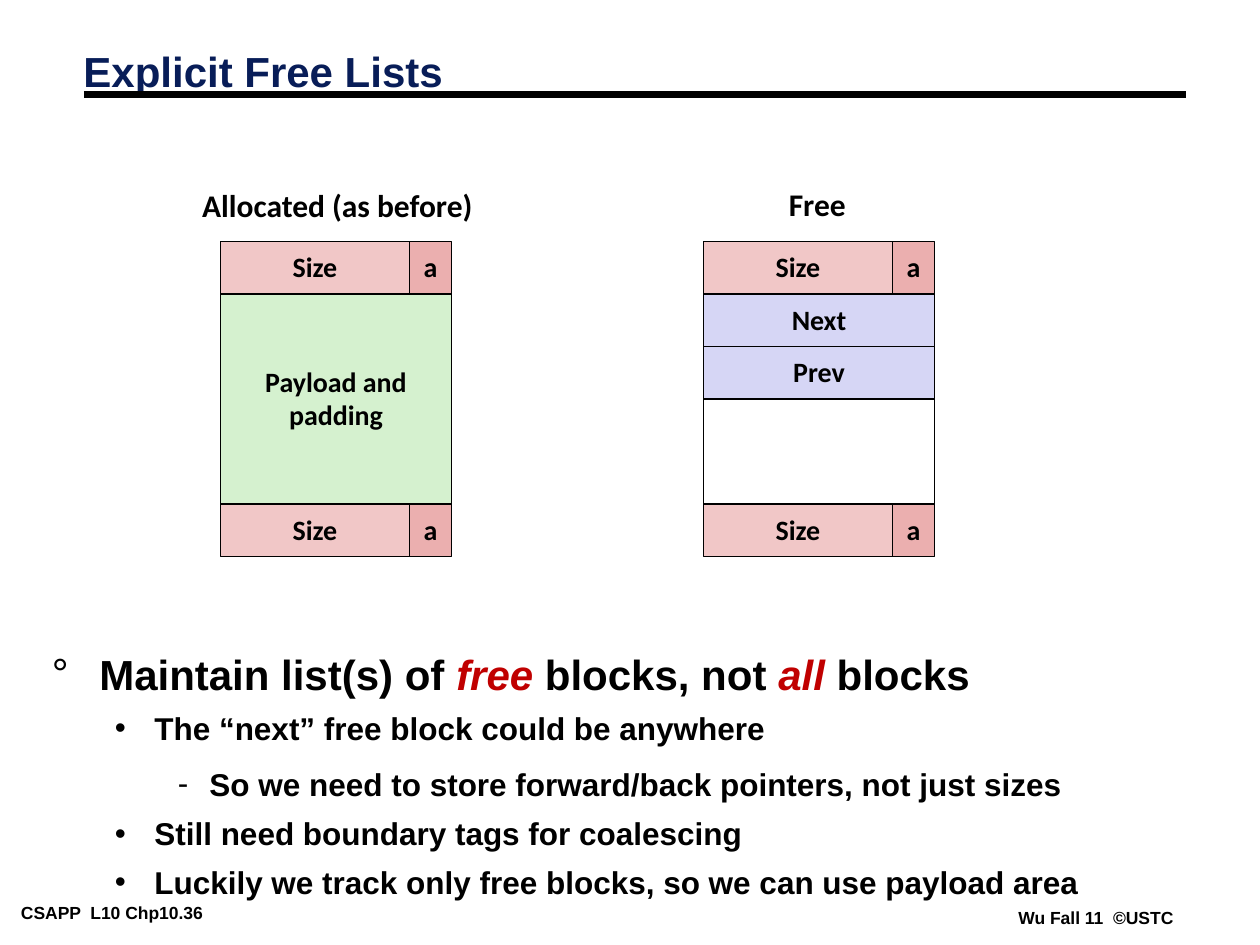
"""Builds a slide that compares allocated and free blocks in explicit free lists."""
from pptx import Presentation
from pptx import util as u
from pptx.dml import color
from pptx.enum import shapes, text
from pptx.oxml import ns, xmlchemy

PX = 9525
COLORS = {
    "black": "000000", "white": "FFFFFF", "navy": "081D58", "red": "C00000",
    "size": "F1C7C7", "flag": "EBAFAF", "payload": "D5F1CF", "pointer": "D6D6F5",
}
ROW, SIZE_WIDTH, FLAG_WIDTH = 40, 144, 32
BLOCK_TOP = 184
BULLETS = {0: ("°", 36, 36), 1: ("•", 78, 30), 2: ("-", 120, 24)}


def rgb(name):
    return color.RGBColor.from_string(COLORS[name])


def write(paragraph, words, font="Arial", size=18, ink="black", italic=False,
          align=text.PP_ALIGN.LEFT, leading=1.0, before=0):
    """Add bold words to a paragraph in the given format."""
    paragraph.alignment = align
    paragraph.line_spacing = leading
    paragraph.space_before = u.Pt(before)
    run = paragraph.add_run()
    run.text = words
    run.font.name, run.font.size = font, u.Pt(size)
    run.font.bold, run.font.italic = True, italic
    run.font.color.rgb = rgb(ink)


class Deck:
    """Holds the style and the current slide."""

    def __init__(self):
        self.show = Presentation()
        self.show.slide_width, self.show.slide_height = 960 * PX, 720 * PX
        self.slide = self.show.slides.add_slide(self.show.slide_layouts[1])

    def place(self, shape, left, top, width, height):
        shape.left, shape.top = left * PX, top * PX
        shape.width, shape.height = width * PX, height * PX

    def title(self, words, *place):
        heading = self.slide.shapes.title
        self.place(heading, *place)
        frame = heading.text_frame
        frame.vertical_anchor = text.MSO_ANCHOR.MIDDLE
        frame.auto_size = text.MSO_AUTO_SIZE.NONE
        write(frame.paragraphs[0], words, size=24, ink="navy", leading=0.87)

    def bullet(self, paragraph, level):
        mark, margin, hang = BULLETS[level]
        paragraph.level = level
        props = paragraph._p.get_or_add_pPr()
        props.set("marL", str(margin * PX))
        props.set("indent", str(-hang * PX))
        tint = xmlchemy.OxmlElement("a:buClr")
        tint.append(xmlchemy.OxmlElement("a:srgbClr"))
        tint[0].set("val", COLORS["black"])
        face = xmlchemy.OxmlElement("a:buFont")
        face.set("typeface", "Arial")
        sign = xmlchemy.OxmlElement("a:buChar")
        sign.set("char", mark)
        props.extend([tint, face, sign])

    def points(self, items, *place):
        body = self.slide.placeholders[1]
        self.place(body, *place)
        frame = body.text_frame
        frame.auto_size = text.MSO_AUTO_SIZE.NONE
        for index, (level, leading, pieces) in enumerate(items):
            paragraph = frame.add_paragraph() if index else frame.paragraphs[0]
            self.bullet(paragraph, level)
            for words, is_key in pieces:
                write(paragraph, words, size=18 if level else 24,
                      ink="red" if is_key else "black", italic=is_key,
                      leading=leading, before=9 if index else 0)

    def rule(self, left, top, right, weight):
        line = self.slide.shapes.add_connector(
            shapes.MSO_CONNECTOR.STRAIGHT, left * PX, top * PX, right * PX, top * PX)
        line.line.color.rgb = rgb("black")
        line.line.width = u.Pt(weight)
        line._element.find(ns.qn("p:spPr")).append(xmlchemy.OxmlElement("a:effectLst"))

    def label(self, words, left, top, width, height, inset=(10, 5), **style):
        box = self.slide.shapes.add_textbox(
            left * PX, top * PX, width * PX, height * PX)
        frame = box.text_frame
        frame.word_wrap = False
        frame.auto_size = text.MSO_AUTO_SIZE.SHAPE_TO_FIT_TEXT
        frame.margin_left = frame.margin_right = inset[0] * PX
        frame.margin_top = frame.margin_bottom = inset[1] * PX
        write(frame.paragraphs[0], words, **style)

    def cell(self, lines, fill, left, top, width, height):
        box = self.slide.shapes.add_shape(
            shapes.MSO_SHAPE.RECTANGLE, left * PX, top * PX, width * PX, height * PX)
        box.shadow.inherit = False
        box.fill.solid()
        box.fill.fore_color.rgb = rgb(fill)
        box.line.color.rgb = rgb("black")
        box.line.width = u.Pt(1)
        frame = box.text_frame
        frame.word_wrap = False
        frame.vertical_anchor = text.MSO_ANCHOR.MIDDLE
        for index, words in enumerate(lines):
            paragraph = frame.add_paragraph() if index else frame.paragraphs[0]
            write(paragraph, words, font="Calibri", size=16,
                  align=text.PP_ALIGN.CENTER, leading=0.98)

    def block(self, left, fields):
        """Stack fields between a header and a footer that hold size and flag."""
        top = BLOCK_TOP
        tag = (None, None, 1)
        for lines, fill, rows in [tag, *fields, tag]:
            if lines is None:
                self.cell(["Size"], "size", left, top, SIZE_WIDTH, ROW)
                self.cell(["a"], "flag", left + SIZE_WIDTH, top, FLAG_WIDTH, ROW)
            else:
                self.cell(lines, fill, left, top, SIZE_WIDTH + FLAG_WIDTH, rows * ROW)
            top += rows * ROW


def main():
    deck = Deck()
    deck.label("CSAPP  L10 Chp10.36", 9, 684, 202, 21, inset=(7, 3), size=10)
    deck.label("Wu Fall 11  ©USTC", 769, 688, 134, 21, inset=(7, 3), size=10)
    deck.rule(64, 72, 904, 4.5)
    deck.title("Explicit Free Lists", 54, 35, 637, 43)
    deck.points([
        (0, 0.85, [("Maintain list(s) of ", False), ("free", True),
                   (" blocks, not ", False), ("all", True), (" blocks", False)]),
        (1, 0.85, [("The “next” free block could be anywhere", False)]),
        (2, 1.07, [("So we need to store forward/back pointers, not just sizes", False)]),
        (1, 0.9, [("Still need boundary tags for coalescing", False)]),
        (1, 0.85, [("Luckily we track only free blocks, so we can use payload area",
                    False)]),
    ], 30, 495, 873, 196)
    deck.block(168, [(["Payload and", "padding"], "payload", 4)])
    deck.block(536, [(["Next"], "pointer", 1), (["Prev"], "pointer", 1),
                     ([], "white", 2)])
    deck.label("Allocated (as before)", 144, 137, 227, 38, font="Calibri")
    deck.label("Free", 591, 136, 66, 38, font="Calibri")
    deck.show.save("out.pptx")


if __name__ == "__main__":
    main()
